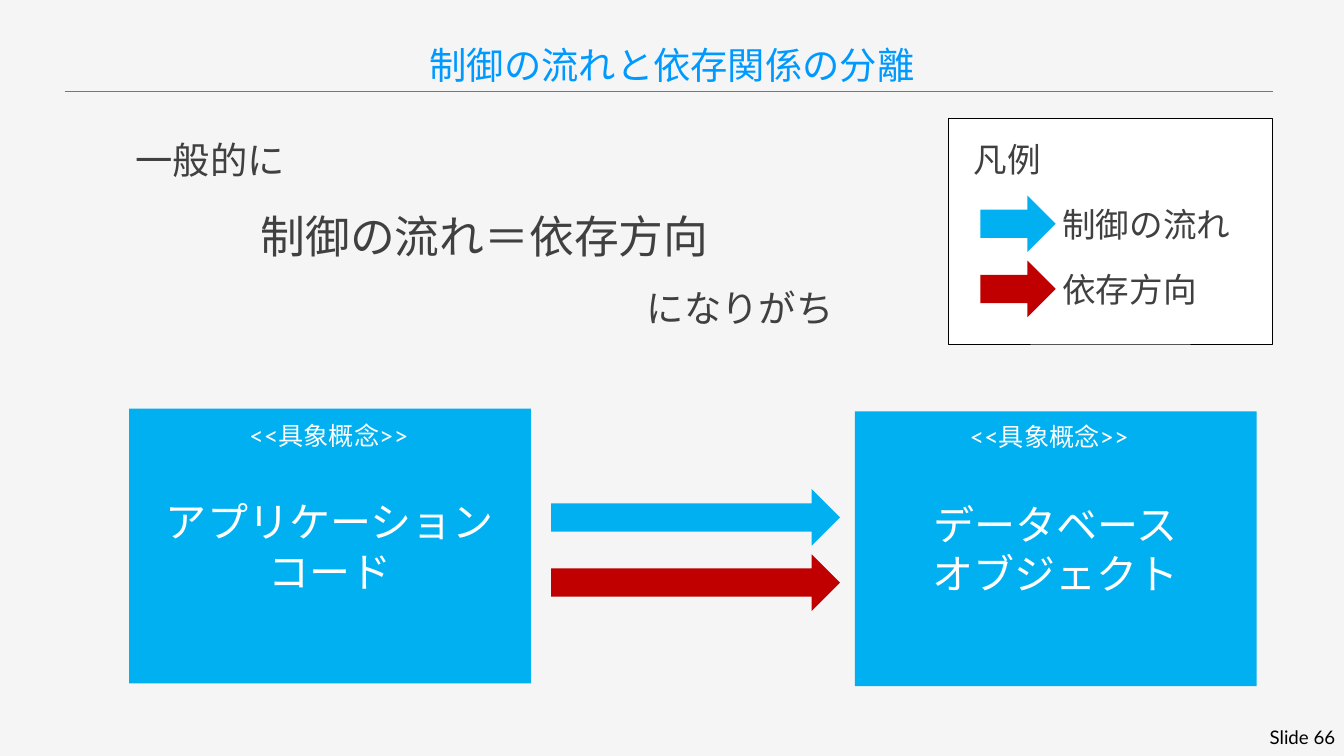
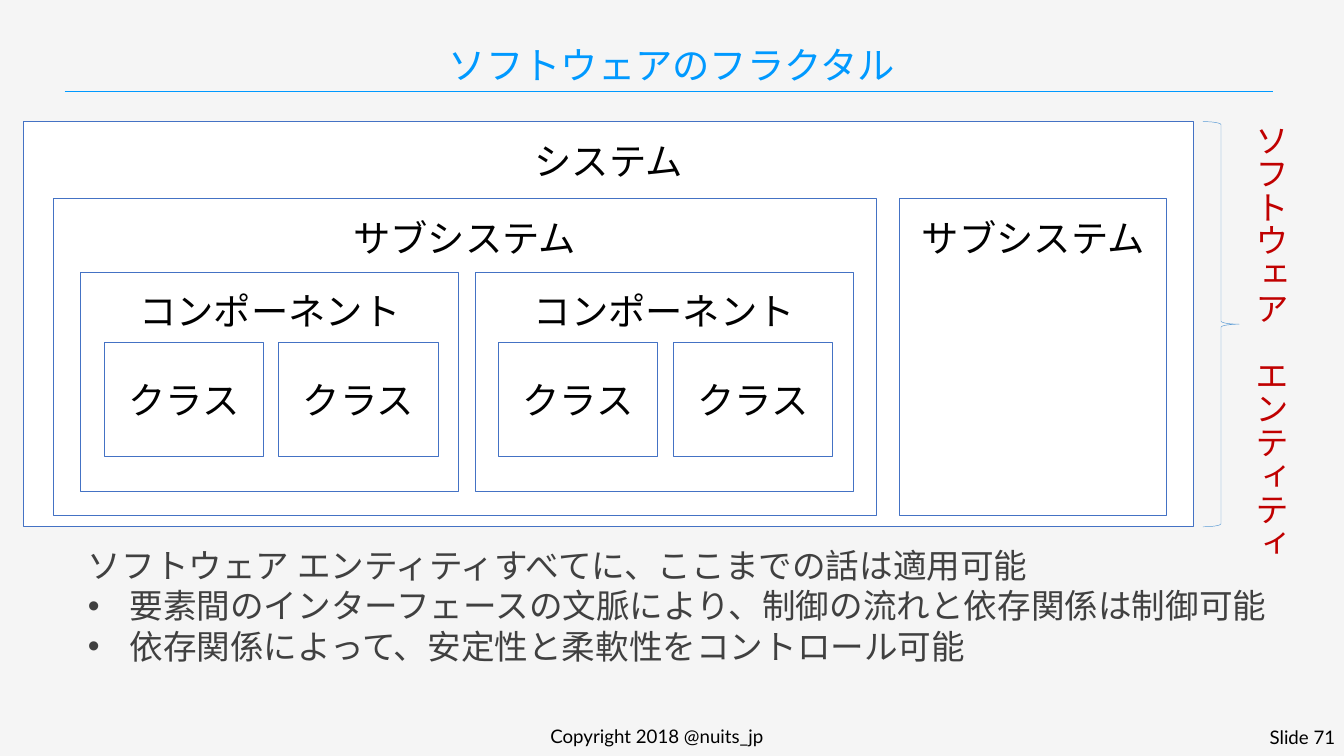
"""Build two slides on control flow, dependency direction and the software fractal."""
from lxml import etree
from pptx import Presentation
from pptx.dml.color import RGBColor
from pptx.enum.shapes import MSO_CONNECTOR, MSO_SHAPE as Shape
from pptx.enum.text import MSO_ANCHOR as Anchor, MSO_AUTO_SIZE as Fit, PP_ALIGN as Align
from pptx.oxml.ns import qn
from pptx.util import Inches, Pt

FONT = "Lato"
PAPER = RGBColor(0xF5, 0xF5, 0xF5)
TITLE_BLUE = RGBColor(0x00, 0x99, 0xFF)
FLOW_BLUE = RGBColor(0x00, 0xB0, 0xF0)
DEPEND_RED = RGBColor(0xC0, 0x00, 0x00)
FRAME_BLUE = RGBColor(0x44, 0x72, 0xC4)
BRACE_BLUE = RGBColor(0x5B, 0x9B, 0xD5)
INK = RGBColor(0x40, 0x40, 0x40)
WHITE = RGBColor(0xFF, 0xFF, 0xFF)
BLACK = RGBColor(0x00, 0x00, 0x00)


def write(holder, lines, size, color, align=Align.LEFT, anchor=Anchor.TOP, wrap=True, grow=False):
    """Write one paragraph per line into a shape and return its text frame."""
    frame = holder.text_frame
    frame.word_wrap = wrap
    frame.vertical_anchor = anchor
    frame.auto_size = Fit.SHAPE_TO_FIT_TEXT if grow else Fit.NONE
    for index, line in enumerate(lines):
        paragraph = frame.add_paragraph() if index else frame.paragraphs[0]
        paragraph.alignment = align
        run = paragraph.add_run()
        run.text = line
        run.font.name = FONT
        run.font.size = Pt(size)
        run.font.color.rgb = color
    return frame


def draw(parent, kind, box, fill=None, line=None, width=1):
    """Add a flat preset shape at a box given in inches."""
    shape = parent.add_shape(kind, *map(Inches, box))
    shape.shadow.inherit = False
    if fill is None:
        shape.fill.background()
    else:
        shape.fill.solid()
        shape.fill.fore_color.rgb = fill
    if line is None:
        shape.line.fill.background()
    else:
        shape.line.color.rgb = line
        shape.line.width = Pt(width)
    return shape


deck = Presentation()
deck.slide_width, deck.slide_height = Inches(20), Inches(11.25)

pages = []
for title, number in (("制御の流れと依存関係の分離", 66), ("ソフトウェアのフラクタル", 71)):
    slide = deck.slides.add_slide(deck.slide_layouts[6])
    slide.background.fill.solid()
    slide.background.fill.fore_color.rgb = PAPER
    parts = slide.shapes
    rule = parts.add_connector(MSO_CONNECTOR.STRAIGHT, Inches(0.96), Inches(1.36), Inches(18.94), Inches(1.36))
    rule.line.color.rgb = TITLE_BLUE
    rule.line.width = Pt(0.5)
    etree.SubElement(rule.element.spPr, qn("a:effectLst"))
    heading = parts.add_textbox(Inches(0.35), Inches(0.51), Inches(19.3), Inches(0.84))
    write(heading, [title], 40, TITLE_BLUE, Align.CENTER, Anchor.BOTTOM).paragraphs[0].line_spacing = 0.9
    page_number = parts.add_textbox(Inches(15.47), Inches(10.75), Inches(4.5), Inches(0.37))
    write(page_number, [f"Slide {number}"], 20, BLACK, Align.RIGHT)
    pages.append(parts)
flow, fractal = pages

legend = flow.add_group_shape().shapes
draw(legend, Shape.RECTANGLE, (14.12, 1.76, 4.81, 3.36), WHITE, BLACK)
legend_title = legend.add_textbox(Inches(14.39), Inches(2.02), Inches(1.21), Inches(0.71))
write(legend_title, ["凡例"], 36, INK, wrap=False, grow=True)
arrows = ((FLOW_BLUE, "制御の流れ", 2.73), (DEPEND_RED, "依存方向", 2.22))
for row, (color, meaning, width) in enumerate(arrows):
    offset = row * 0.97
    draw(legend, Shape.RIGHT_ARROW, (14.59, 2.91 + offset, 1.12, 0.84), color)
    label = legend.add_textbox(Inches(15.71), Inches(2.98 + offset), Inches(width), Inches(0.71))
    write(label, [meaning], 36, INK, wrap=False, grow=True)
    draw(flow, Shape.RIGHT_ARROW, (8.2, 7.28 + offset, 4.3, 0.84), color)

concepts = (
    (1.92, 6.08, 3.61, 6.21, ["アプリケーション", "コード"]),
    (12.72, 6.12, 14.33, 6.22, ["データベース", "オブジェクト"]),
)
for left, top, tag_left, tag_top, name in concepts:
    concept = draw(flow, Shape.RECTANGLE, (left, top, 5.98, 4.09), FLOW_BLUE)
    write(concept, name, 44, WHITE, Align.CENTER, Anchor.MIDDLE)
    stereotype = flow.add_textbox(Inches(tag_left), Inches(tag_top), Inches(2.75), Inches(0.56))
    write(stereotype, ["<<具象概念>>"], 27, WHITE, wrap=False, grow=True)

claim = flow.add_textbox(Inches(1.92), Inches(1.66), Inches(10.58), Inches(3.23))
claim_text = write(claim, ["一般的に", "制御の流れ＝依存方向", "になりがち"], 40, INK, grow=True)
for paragraph, align in zip(claim_text.paragraphs, (Align.LEFT, Align.CENTER, Align.RIGHT)):
    paragraph.alignment = align
    paragraph.line_spacing = 1.5
claim_text.paragraphs[1].runs[0].font.size = Pt(48)

containers = [
    ("システム", (0.35, 1.81, 17.41, 6.03)),
    ("サブシステム", (0.79, 2.96, 12.25, 4.71)),
    ("サブシステム", (13.39, 2.96, 3.97, 4.71)),
]
component_lefts = (1.2, 7.07)
containers += [("コンポーネント", (left, 4.05, 5.63, 3.27)) for left in component_lefts]
for name, box in containers:
    container = draw(fractal, Shape.RECTANGLE, box, WHITE, FRAME_BLUE)
    write(container, [name], 40, BLACK, Align.CENTER).margin_top = Inches(0.24)
for left in component_lefts:
    for column in range(2):
        member = draw(fractal, Shape.RECTANGLE, (left + 0.35 + column * 2.6, 5.09, 2.37, 1.71), WHITE, FRAME_BLUE)
        write(member, ["クラス"], 40, BLACK, Align.CENTER, Anchor.MIDDLE)

entity = fractal.add_group_shape().shapes
draw(entity, Shape.RIGHT_BRACE, (17.9, 1.81, 0.54, 6.03), line=BRACE_BLUE, width=0.5)
entity_label = entity.add_textbox(Inches(18.45), Inches(1.74), Inches(0.81), Inches(6.16))
entity_text = write(entity_label, ["ソフトウェア　エンティティ"], 36, DEPEND_RED, Align.CENTER, wrap=False, grow=True)
entity_label.element.txBody.find(qn("a:bodyPr")).set("vert", "eaVert")

summary = fractal.add_textbox(Inches(1.21), Inches(8.06), Inches(17.97), Inches(1.92))
summary_text = write(summary, [
    "ソフトウェア エンティティすべてに、ここまでの話は適用可能",
    "要素間のインターフェースの文脈により、制御の流れと依存関係は制御可能",
    "依存関係によって、安定性と柔軟性をコントロール可能",
], 36, INK, grow=True)
for paragraph in summary_text.paragraphs[1:]:
    settings = paragraph._p.get_or_add_pPr()
    settings.set("marL", str(Inches(0.62)))
    settings.set("indent", str(-Inches(0.62)))
    etree.SubElement(settings, qn("a:buFont"), typeface="Arial")
    etree.SubElement(settings, qn("a:buChar"), char="•")

copyright_note = fractal.add_textbox(Inches(6.4), Inches(10.74), Inches(6.75), Inches(0.38))
write(copyright_note, ["Copyright 2018 @nuits_jp"], 20, BLACK, Align.CENTER)

deck.save("out.pptx")
